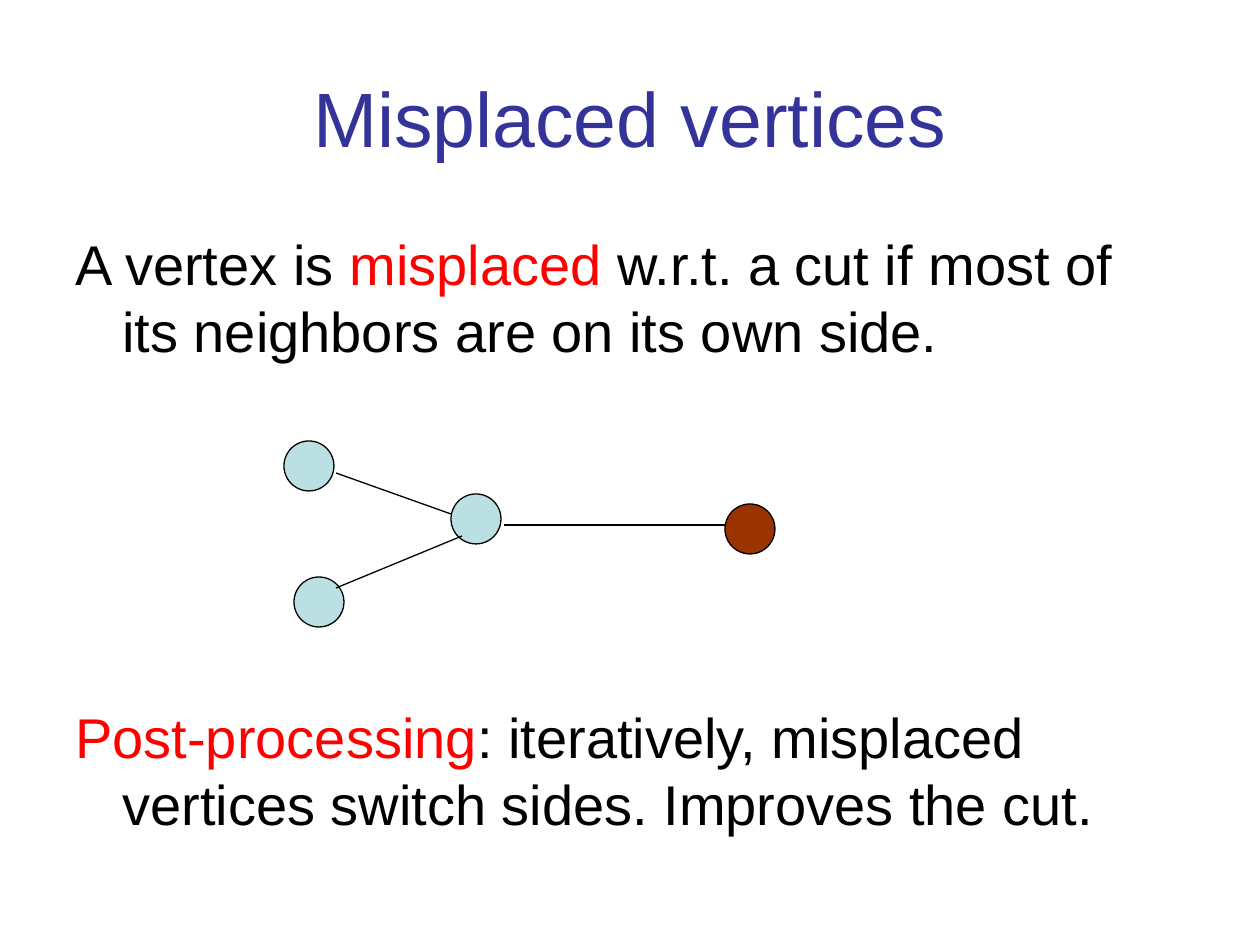
from lxml.etree import SubElement
from pptx import Presentation
from pptx.dml.color import RGBColor
from pptx.enum.shapes import MSO_CONNECTOR as Connector, MSO_SHAPE as Shape
from pptx.enum.text import MSO_ANCHOR as Anchor, PP_ALIGN as Align
from pptx.oxml.ns import qn
from pptx.util import Pt

BLACK = RGBColor(0x00, 0x00, 0x00)
RED = RGBColor(0xFF, 0x00, 0x00)
INDIGO = RGBColor(0x33, 0x33, 0x99)
PALE_BLUE = RGBColor(0xBB, 0xE0, 0xE3)
BROWN = RGBColor(0x99, 0x33, 0x00)

# Content: paragraphs are lists of (text, colour) runs
TITLE = [[("Misplaced vertices", INDIGO)]]
BODY = [
    [("A vertex is ", BLACK), ("misplaced", RED),
     (" w.r.t. a cut if most of its neighbors are on its own side.", BLACK)],
    [("Post-processing", RED),
     (": iteratively, misplaced vertices switch sides. Improves the cut.", BLACK)],
]
VERTEX_SIZE = 50
VERTICES = [  # left, top, colour of the side
    (451, 494, PALE_BLUE),
    (725, 504, BROWN),
    (294, 577, PALE_BLUE),
    (284, 441, PALE_BLUE),
]
EDGES = [  # from x, y to x, y
    (504, 525, 725, 525),
    (336, 473, 451, 514),
    (462, 536, 336, 588),
]


def px(*lengths):
    return [round(length * 914400 / 126) for length in lengths]


def write(shape, paragraphs, size, align=Align.LEFT, anchor=Anchor.TOP,
          hanging=0, gap=0, line_height=None):
    frame = shape.text_frame
    frame.word_wrap = True
    frame.vertical_anchor = anchor
    for index, runs in enumerate(paragraphs):
        paragraph = frame.add_paragraph() if index else frame.paragraphs[0]
        paragraph.alignment = align
        if hanging:
            indent, = px(hanging)
            properties = paragraph._p.get_or_add_pPr()
            properties.set("marL", str(indent))
            properties.set("indent", str(-indent))
        if line_height:
            paragraph.line_spacing = Pt(line_height)
        paragraph.space_before = Pt(gap if index else 0)
        for text, colour in runs:
            run = paragraph.add_run()
            run.text = text
            run.font.name = "Arial"
            run.font.size = Pt(size)
            run.font.color.rgb = colour


presentation = Presentation()
presentation.slide_width, presentation.slide_height = px(1260, 945)
slide = presentation.slides.add_slide(presentation.slide_layouts[5])

# Title and statements, with room between them for the graph
title = slide.shapes.title
title.left, title.top, title.width, title.height = px(63, 38, 1134, 158)
write(title, TITLE, 44, align=Align.CENTER, anchor=Anchor.MIDDLE)
body = slide.shapes.add_textbox(*px(63, 223, 1134, 621))
write(body, BODY, 32, hanging=47, gap=193.5, line_height=38.4)

# Vertices
for left, top, colour in VERTICES:
    vertex = slide.shapes.add_shape(
        Shape.OVAL, *px(left, top, VERTEX_SIZE, VERTEX_SIZE))
    vertex.shadow.inherit = False
    vertex.fill.solid()
    vertex.fill.fore_color.rgb = colour
    vertex.line.color.rgb = BLACK
    vertex.line.width = Pt(0.75)

# Edges
for ends in EDGES:
    edge = slide.shapes.add_connector(Connector.STRAIGHT, *px(*ends))
    edge.line.color.rgb = BLACK
    edge.line.width = Pt(0.75)
    SubElement(edge._element.spPr, qn("a:effectLst"))

presentation.save("out.pptx")
